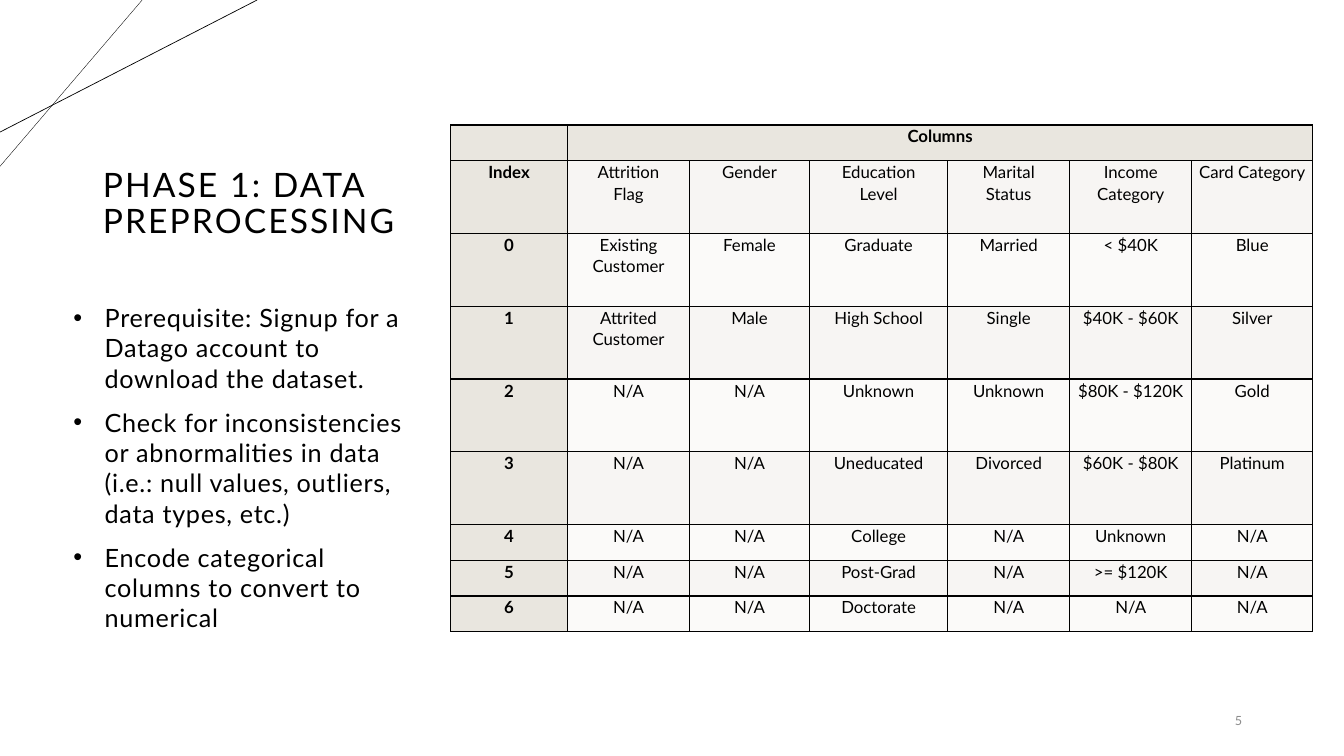
"""Build the data preprocessing slide with its table of categorical values."""
from dataclasses import dataclass
from typing import Any, NamedTuple

from lxml.etree import SubElement
from pptx import Presentation
from pptx.dml.color import RGBColor
from pptx.enum.shapes import MSO_CONNECTOR as Connector
from pptx.enum.text import MSO_ANCHOR as Anchor, MSO_AUTO_SIZE as AutoSize, PP_ALIGN as Align
from pptx.oxml.ns import qn
from pptx.util import Inches, Pt

SLIDE_WIDTH, SLIDE_HEIGHT = Inches(13.33), Inches(7.5)


@dataclass(frozen=True)
class Theme:
    font: str = "Lato"
    ink: str = "000000"
    muted: str = "8C8C8C"
    header: str = "E9E6DF"
    bands: tuple[str, str] = ("FBFAF9", "F7F5F3")
    title_size: float = 24
    body_size: float = 18
    table_size: float = 12
    number_size: float = 9


class Box(NamedTuple):
    """Position and size in hundredths of the slide."""
    left: float
    top: float
    width: float
    height: float


class Stroke(NamedTuple):
    """A line from the top edge to the left edge of the slide."""
    top_end: float
    left_end: float
    weight: float


THEME = Theme()
STROKES = [Stroke(10.58, 22, 0.25), Stroke(19.13, 17.47, 0.5)]
TITLE_BOX = Box(6.9, 13.07, 26.63, 28)
BODY_BOX = Box(4.73, 40, 26.63, 47.2)
NUMBER_BOX = Box(85.05, 92.67, 8.1, 5.33)
TABLE_LEFT, TABLE_TOP = 33.53, 16.53
COLUMN_WIDTHS = [8.7, 9.08, 8.93, 10.28, 9.08, 9.08, 9]
SHORT_ROW, TALL_ROW = 4.72, 9.63
ROW_HEIGHTS = [SHORT_ROW] + [TALL_ROW] * 5 + [SHORT_ROW] * 3
BULLETS = [
    "Prerequisite: Signup for a Datago account to download the dataset.",
    "Check for inconsistencies or abnormalities in data (i.e.: null values, outliers, data types, etc.)",
    "Encode categorical columns to convert to numerical",
]
ROWS = [
    ["", "Columns"],
    ["Index", "Attrition\nFlag", "Gender", "Education\nLevel", "Marital\nStatus",
     "Income Category", "Card Category"],
    ["0", "Existing Customer", "Female", "Graduate", "Married", "< $40K", "Blue"],
    ["1", "Attrited Customer", "Male", "High School", "Single", "$40K - $60K", "Silver"],
    ["2", "N/A", "N/A", "Unknown", "Unknown", "$80K - $120K", "Gold"],
    ["3", "N/A", "N/A", "Uneducated", "Divorced", "$60K - $80K", "Platinum"],
    ["4", "N/A", "N/A", "College", "N/A", "Unknown", "N/A"],
    ["5", "N/A", "N/A", "Post-Grad", "N/A", ">= $120K", "N/A"],
    ["6", "N/A", "N/A", "Doctorate", "N/A", "N/A", "N/A"],
]


def across(columns: float) -> int:
    return round(SLIDE_WIDTH * columns / 100)


def down(rows: float) -> int:
    return round(SLIDE_HEIGHT * rows / 100)


def place(box: Box) -> tuple[int, int, int, int]:
    return across(box.left), down(box.top), across(box.width), down(box.height)


def apply(target: Any, values: dict[str, Any]) -> None:
    for name, value in values.items():
        setattr(target, name, value)


def write(frame: Any, text: str, size: float, color: str = THEME.ink, bold: bool = False,
          tracking: float = 0, **paragraph_format: Any) -> None:
    frame.text = text
    for paragraph in frame.paragraphs:
        apply(paragraph, paragraph_format)
        for run in paragraph.runs:
            apply(run.font, {"name": THEME.font, "size": Pt(size), "bold": bold})
            run.font.color.rgb = RGBColor.from_string(color)
            if tracking:
                run.font._element.set("spc", str(round(tracking * 100)))


def add_stroke(slide: Any, stroke: Stroke) -> None:
    line = slide.shapes.add_connector(
        Connector.STRAIGHT, across(stroke.top_end), 0, 0, down(stroke.left_end))
    line.line.color.rgb = RGBColor.from_string(THEME.ink)
    line.line.width = Pt(stroke.weight)
    SubElement(line._element.spPr, qn("a:effectLst"))


def add_title(slide: Any) -> None:
    title = slide.shapes.title
    apply(title, dict(zip(("left", "top", "width", "height"), place(TITLE_BOX))))
    apply(title.text_frame, {"word_wrap": True, "auto_size": AutoSize.NONE,
                             "vertical_anchor": Anchor.MIDDLE})
    write(title.text_frame, "PHASE 1: DATA PREPROCESSING", THEME.title_size,
          tracking=1.5, alignment=Align.LEFT, line_spacing=0.9)


def add_bullets(slide: Any) -> None:
    frame = slide.shapes.add_textbox(*place(BODY_BOX)).text_frame
    apply(frame, {"word_wrap": True, "margin_top": 0})
    write(frame, "\n".join(BULLETS), THEME.body_size, tracking=0.5, space_before=Pt(10))
    indent = Inches(0.31)
    for paragraph in frame.paragraphs:
        properties = paragraph._p.get_or_add_pPr()
        properties.set("marL", str(indent))
        properties.set("indent", str(-indent))
        SubElement(properties, qn("a:buFont"), typeface="Arial")
        SubElement(properties, qn("a:buChar"), char="•")


def add_number(slide: Any) -> None:
    frame = slide.shapes.add_textbox(*place(NUMBER_BOX)).text_frame
    apply(frame, {"word_wrap": True, "vertical_anchor": Anchor.MIDDLE})
    write(frame, "5", THEME.number_size, color=THEME.muted, alignment=Align.RIGHT)


def style_cell(cell: Any, color: str) -> None:
    apply(cell, {"margin_left": Inches(0.07), "margin_right": Inches(0.07),
                 "margin_top": 0, "margin_bottom": 0})
    properties = cell._tc.get_or_add_tcPr()
    for side in ("lnL", "lnR", "lnT", "lnB"):
        border = SubElement(properties, qn(f"a:{side}"), w=str(Pt(1)))
        SubElement(SubElement(border, qn("a:solidFill")), qn("a:srgbClr"), val=THEME.ink)
    cell.fill.solid()
    cell.fill.fore_color.rgb = RGBColor.from_string(color)


def add_values_table(slide: Any) -> None:
    box = Box(TABLE_LEFT, TABLE_TOP, sum(COLUMN_WIDTHS), sum(ROW_HEIGHTS))
    table = slide.shapes.add_table(len(ROW_HEIGHTS), len(COLUMN_WIDTHS), *place(box)).table
    apply(table, {"first_row": False, "horz_banding": False})
    for column, width in zip(table.columns, COLUMN_WIDTHS):
        column.width = across(width)
    for row, height in zip(table.rows, ROW_HEIGHTS):
        row.height = down(height)
    table.cell(0, 1).merge(table.cell(0, len(COLUMN_WIDTHS) - 1))
    for row_index, row in enumerate(table.rows):
        for column_index, cell in enumerate(row.cells):
            heading = row_index == 0 or column_index == 0
            style_cell(cell, THEME.header if heading else THEME.bands[row_index % 2])
            if column_index < len(ROWS[row_index]):
                write(cell.text_frame, ROWS[row_index][column_index], THEME.table_size,
                      bold=heading, alignment=Align.CENTER, line_spacing=1.07)


def main() -> None:
    presentation = Presentation()
    apply(presentation, {"slide_width": SLIDE_WIDTH, "slide_height": SLIDE_HEIGHT})
    slide = presentation.slides.add_slide(presentation.slide_layouts.get_by_name("Title Only"))
    for stroke in STROKES:
        add_stroke(slide, stroke)
    add_bullets(slide)
    add_number(slide)
    add_title(slide)
    add_values_table(slide)
    presentation.save("out.pptx")


if __name__ == "__main__":
    main()
